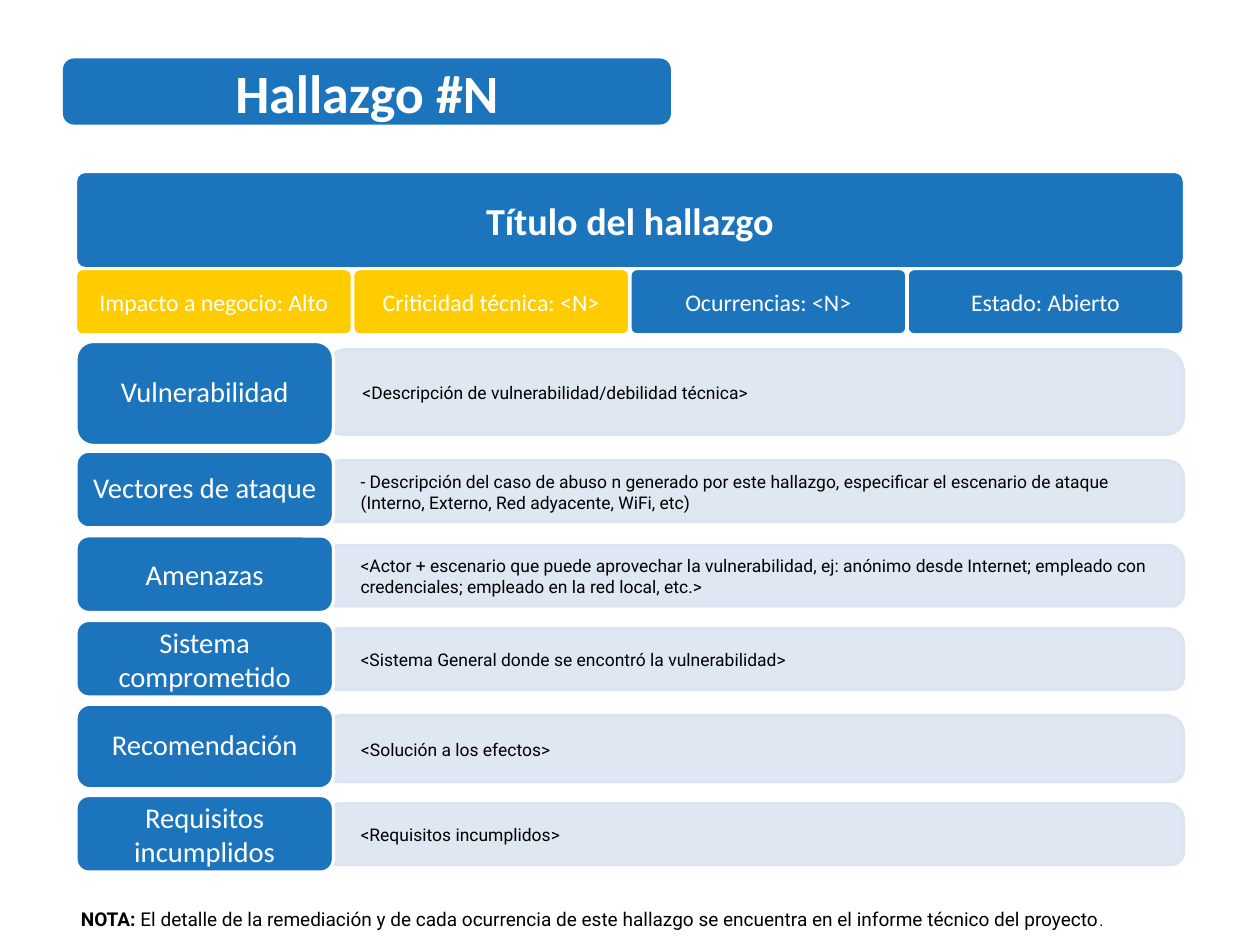
from lxml import etree
from pptx import Presentation
from pptx.dml.color import RGBColor
from pptx.enum import shapes, text
from pptx.oxml import ns
from pptx.util import Cm, Pt

BLUE = RGBColor(0x1C, 0x75, 0xBC)
YELLOW = RGBColor(0xFF, 0xCC, 0x00)
PALE = RGBColor(0xDB, 0xE5, 0xF1)
WHITE = RGBColor(0xFF, 0xFF, 0xFF)
BLACK = RGBColor(0x00, 0x00, 0x00)
ROUND = shapes.MSO_SHAPE.ROUNDED_RECTANGLE
TAB = shapes.MSO_SHAPE.ROUND_2_SAME_RECTANGLE
CENTER, LEFT = text.PP_ALIGN.CENTER, text.PP_ALIGN.LEFT

TITLE = dict(name="Calibri", size=Pt(34), bold=True)
HEADING = dict(name="Calibri", size=Pt(24), bold=True)
STATUS = dict(name="Calibri", size=Pt(15), bold=False)
LABEL = dict(name="Calibri", size=Pt(18), bold=False)
DETAIL = dict(name="Roboto", size=Pt(11), bold=False)
NOTE_BOLD = dict(name="Roboto", size=Pt(12), bold=True)
NOTE = dict(name="Roboto", size=Pt(12), bold=False)
NOTE_END = dict(name="Calibri", size=Pt(9), bold=False)


def write(sp, runs, color, align, inset_x, inset_y, anchor=text.MSO_ANCHOR.MIDDLE):
    tf = sp.text_frame
    frame = dict(word_wrap=True, auto_size=text.MSO_AUTO_SIZE.NONE,
                 vertical_anchor=anchor, margin_left=Cm(inset_x),
                 margin_right=Cm(inset_x), margin_top=Cm(inset_y),
                 margin_bottom=Cm(inset_y))
    for key, value in frame.items():
        setattr(tf, key, value)
    p = tf.paragraphs[0]
    p.alignment = align
    for words, style in runs:
        r = p.add_run()
        r.text = words
        r.font.color.rgb = color
        for key, value in style.items():
            setattr(r.font, key, value)
    return p


def box(kind, place, adjust, fill, line):
    sp = s.shapes.add_shape(kind, *map(Cm, place))
    sp.shadow.inherit = False
    for i, value in enumerate(adjust):
        sp.adjustments[i] = value
    sp.fill.solid()
    sp.fill.fore_color.rgb = fill
    if line is None:
        sp.line.fill.background()
    else:
        sp.line.color.rgb = line
        sp.line.width = Pt(2)
    return sp


prs = Presentation()
prs.slide_width, prs.slide_height = Cm(28), Cm(21)
s = prs.slides.add_slide(prs.slide_layouts[5])

title_place = (1.4, 1.3, 13.51, 1.47)
box(ROUND, title_place, [0.167], BLUE, None)
title = s.shapes.title
for key, value in zip(("left", "top", "width", "height"), title_place):
    setattr(title, key, Cm(value))
write(title, [("Hallazgo #N", TITLE)], WHITE, CENTER, 0.28, 0.28)
s.shapes.element.append(title.element)

heading = box(ROUND, (1.68, 3.81, 24.64, 2.16), [0.1], BLUE, WHITE)
write(heading, [("Título del hallazgo", HEADING)], WHITE, CENTER, 0.25, 0.25)

statuses = [
    ("Impacto a negocio: Alto", YELLOW),
    ("Criticidad técnica: <N>", YELLOW),
    ("Ocurrencias: <N>", BLUE),
    ("Estado: Abierto", BLUE),
]
for i, (words, fill) in enumerate(statuses):
    sp = box(ROUND, (1.68 + 6.16 * i, 5.97, 6.15, 1.47), [0.1], fill, WHITE)
    write(sp, [(words, STATUS)], WHITE, CENTER, 0.25, 0.25)

rows = [
    ("Vulnerabilidad", 7.59, 2.31, 0.9, 7.77, 1.88,
     "<Descripción de vulnerabilidad/debilidad técnica>"),
    ("Vectores de ataque", 10.03, 1.7, 0.9, 10.24, 1.35,
     "- Descripción del caso de abuso n generado por este hallazgo, especificar "
     "el escenario de ataque (Interno, Externo, Red adyacente, WiFi, etc)"),
    ("Amenazas", 11.91, 1.7, 1.0, 12.12, 1.35,
     "<Actor + escenario que puede aprovechar la vulnerabilidad, ej: anónimo desde "
     "Internet; empleado con credenciales; empleado en la red local, etc.>"),
    ("Sistema comprometido", 13.79, 1.7, 1.0, 13.97, 1.35,
     "<Sistema General donde se encontró la vulnerabilidad>"),
    ("Recomendación", 15.65, 1.88, 0.9, 15.9, 1.47, "<Solución a los efectos>"),
    ("Requisitos incumplidos", 17.68, 1.7, 1.0, 17.86, 1.35,
     "<Requisitos incumplidos>"),
]
for label, top, height, spacing, detail_top, detail_height, detail in rows:
    sp = box(TAB, (7.22, detail_top, 19.08, detail_height), [0.263, 0.197], PALE, PALE)
    color = sp.element.spPr.find(ns.qn("a:solidFill"))[0]
    etree.SubElement(color, ns.qn("a:alpha"), val="90000")
    write(sp, [(detail, DETAIL)], BLACK, LEFT, 0.69, 0.36)
    sp = box(ROUND, (1.69, top, 5.72, height), [0.167], BLUE, WHITE)
    p = write(sp, [(label, LABEL)], WHITE, CENTER, 0.2, 0.1)
    p.line_spacing = spacing

note = s.shapes.add_textbox(Cm(1.55), Cm(20.04), Cm(25.17), Cm(0.84))
write(note, [
    ("NOTA: ", NOTE_BOLD),
    ("El detalle de la remediación y de cada ocurrencia de este hallazgo se "
     "encuentra en el informe técnico del proyecto", NOTE),
    (".", NOTE_END),
], BLACK, LEFT, 0.25, 0.13, text.MSO_ANCHOR.TOP)

prs.save("out.pptx")
